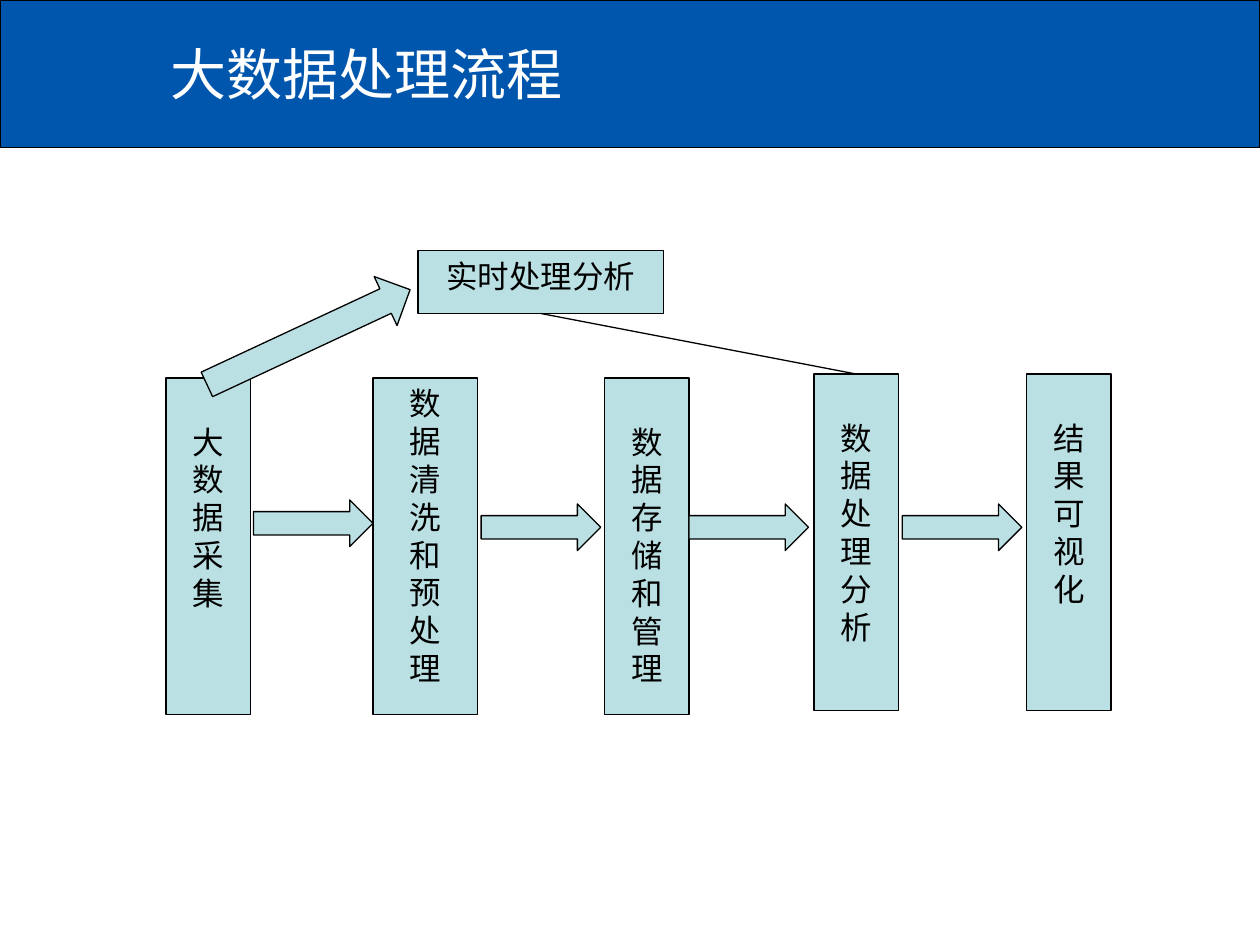
from dataclasses import dataclass

from lxml.etree import SubElement
from pptx import Presentation
from pptx.dml.color import RGBColor
from pptx.enum.shapes import MSO_CONNECTOR, MSO_SHAPE
from pptx.enum.text import MSO_ANCHOR, PP_ALIGN
from pptx.oxml.ns import qn
from pptx.shapes.autoshape import Shape
from pptx.slide import Slide
from pptx.util import Cm, Pt


@dataclass(frozen=True)
class Theme:
    header: RGBColor = RGBColor(0x00, 0x56, 0xAC)
    box: RGBColor = RGBColor(0xBB, 0xE0, 0xE3)
    ink: RGBColor = RGBColor(0x00, 0x00, 0x00)
    title_ink: RGBColor = RGBColor(0xFF, 0xFF, 0xFF)
    title_font: str = "Noto Sans CJK SC"
    body_font: str = "Arial"
    title_size: Pt = Pt(32)
    body_size: Pt = Pt(18)
    line_width: Pt = Pt(0.75)


@dataclass(frozen=True)
class Box:
    text: str
    left: float
    top: float
    width: float = 1.7
    height: float = 6.78
    top_inset: float = 0.9


@dataclass(frozen=True)
class Arrow:
    left: float
    top: float = 10.16
    width: float = 2.41
    height: float = 0.94
    rotation: float = 0


THEME = Theme()
PLAIN_INSET = 0.13

REALTIME = Box("实时处理分析", 8.43, 5.05, 4.95, 1.27, PLAIN_INSET)
ANALYSIS = Box("数据处理分析", 16.41, 7.54)
BOXES = [
    Box("\n".join("大数据采集"), 3.35, 7.62),
    Box("\n".join("数据清洗和预处理"), 7.52, 7.62, width=2.11, top_inset=PLAIN_INSET),
    REALTIME,
    Box("数据存储和管理", 12.19, 7.62),
    ANALYSIS,
    Box("结果可视化", 20.7, 7.54),
]
ARROWS = [
    Arrow(5.11, top=10.08),
    Arrow(9.7),
    Arrow(13.89),
    Arrow(18.19),
    Arrow(3.96, 6.25, 4.52, 1.09, rotation=335),
]


def add_filled_shape(slide: Slide, kind: MSO_SHAPE, left: float, top: float,
                     width: float, height: float, fill: RGBColor) -> Shape:
    shape = slide.shapes.add_shape(kind, Cm(left), Cm(top), Cm(width), Cm(height))
    shape.shadow.inherit = False
    shape.fill.solid()
    shape.fill.fore_color.rgb = fill
    shape.line.color.rgb = THEME.ink
    shape.line.width = THEME.line_width
    return shape


def write_text(shape: Shape, text: str, font: str, size: Pt, color: RGBColor,
               alignment: PP_ALIGN, anchor: MSO_ANCHOR) -> None:
    frame = shape.text_frame
    frame.word_wrap = True
    frame.vertical_anchor = anchor
    frame.text = text
    for paragraph in frame.paragraphs:
        paragraph.alignment = alignment
        paragraph.font.name = font
        paragraph.font.size = size
        paragraph.font.color.rgb = color


def add_header(slide: Slide) -> None:
    add_filled_shape(slide, MSO_SHAPE.RECTANGLE, 0, 0, 25.4, 2.97, THEME.header)
    title = slide.shapes.add_textbox(Cm(3.18), Cm(0.2), Cm(22.22), Cm(2.54))
    write_text(title, "大数据处理流程", THEME.title_font, THEME.title_size,
               THEME.title_ink, PP_ALIGN.LEFT, MSO_ANCHOR.MIDDLE)


def add_box(slide: Slide, box: Box) -> Shape:
    shape = add_filled_shape(slide, MSO_SHAPE.RECTANGLE, box.left, box.top,
                             box.width, box.height, THEME.box)
    write_text(shape, box.text, THEME.body_font, THEME.body_size,
               THEME.ink, PP_ALIGN.CENTER, MSO_ANCHOR.TOP)
    shape.text_frame.margin_top = Cm(box.top_inset)
    return shape


def add_arrow(slide: Slide, arrow: Arrow) -> None:
    shape = add_filled_shape(slide, MSO_SHAPE.RIGHT_ARROW, arrow.left, arrow.top,
                             arrow.width, arrow.height, THEME.box)
    shape.rotation = arrow.rotation


def add_link(slide: Slide, lower: Shape, upper: Shape) -> None:
    connector = slide.shapes.add_connector(MSO_CONNECTOR.STRAIGHT, 0, 0, 0, 0)
    connector.begin_connect(lower, 0)
    connector.end_connect(upper, 2)
    connector.line.color.rgb = THEME.ink
    connector.line.width = THEME.line_width
    SubElement(connector._element.spPr, qn("a:effectLst"))


def main() -> None:
    presentation = Presentation()
    presentation.slide_width = Cm(25.4)
    presentation.slide_height = Cm(19.05)
    slide = presentation.slides.add_slide(presentation.slide_layouts[6])

    add_header(slide)
    shapes = {box: add_box(slide, box) for box in BOXES}
    add_link(slide, shapes[ANALYSIS], shapes[REALTIME])
    for arrow in ARROWS:
        add_arrow(slide, arrow)

    presentation.save("out.pptx")


if __name__ == "__main__":
    main()
